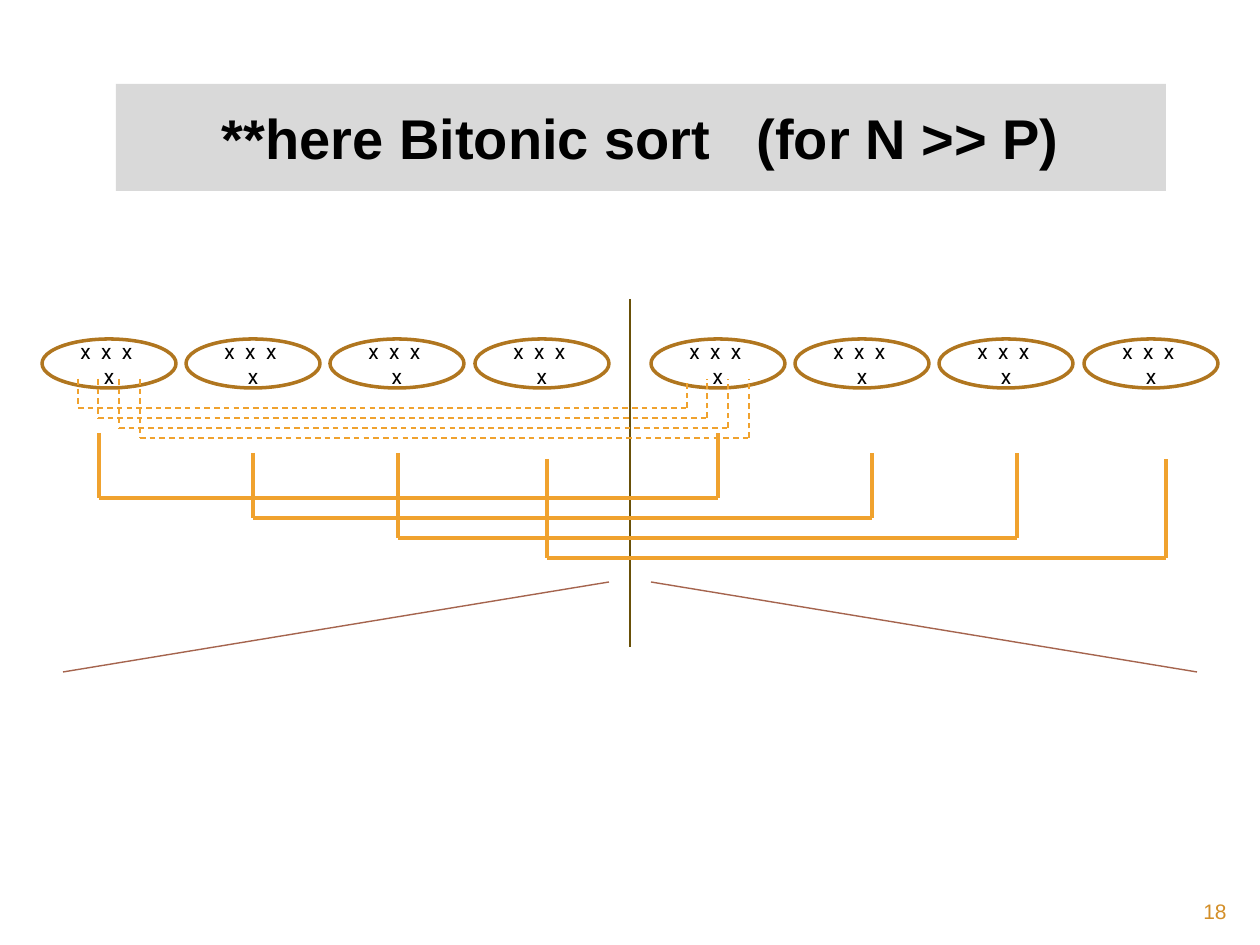
from dataclasses import dataclass
from lxml.etree import SubElement
from pptx import Presentation
from pptx.dml.color import RGBColor
from pptx.enum.dml import MSO_LINE
from pptx.enum.shapes import MSO_CONNECTOR, MSO_SHAPE
from pptx.enum.text import MSO_ANCHOR, PP_ALIGN
from pptx.oxml.ns import qn
from pptx.util import Pt


@dataclass
class Theme:
    black: str = "000000"
    white: str = "FFFFFF"
    panel: str = "D9D9D9"
    ring: str = "B0761F"
    wire: str = "F0A22E"
    axis: str = "695008"
    slope: str = "A5644E"
    page: str = "D38E27"
    head: int = 32
    small: int = 12
    thin: float = 0.79
    mid: float = 2
    thick: float = 2.25


theme = Theme()
SCALE = 914400 / 126


def px(*nums):
    return [round(num * SCALE) for num in nums]


def draw(ends, color, width, dash=None):
    line = slide.shapes.add_connector(MSO_CONNECTOR.STRAIGHT, *px(*ends))
    line.line.color.rgb = RGBColor.from_string(color)
    line.line.width = Pt(width)
    if dash:
        line.line.dash_style = dash
    SubElement(line._element.spPr, qn("a:effectLst"))


deck = Presentation()
deck.slide_width, deck.slide_height = px(1260, 945)
slide = deck.slides.add_slide(deck.slide_layouts[5])

title = slide.shapes.title
title.left, title.top, title.width, title.height = px(116, 84, 1050, 107)
geom = SubElement(title._element.spPr, qn("a:prstGeom"), prst="bevel")
SubElement(geom, qn("a:avLst"))
title.fill.solid()
title.fill.fore_color.rgb = RGBColor.from_string(theme.panel)
title.text_frame.vertical_anchor = MSO_ANCHOR.MIDDLE
para = title.text_frame.paragraphs[0]
para.alignment = PP_ALIGN.CENTER
run = para.add_run()
run.text = "**here Bitonic sort   (for N >> P)"
run.font.name = "Arial"
run.font.size = Pt(theme.head)
run.font.bold = True
run.font.color.rgb = RGBColor.from_string(theme.black)

draw((630, 299, 630, 647), theme.axis, theme.thin)

for side in (42, 651):
    for i in range(4):
        node = slide.shapes.add_shape(
            MSO_SHAPE.OVAL, *px(side + i * 433 // 3, 339, 134, 49))
        node.shadow.inherit = False
        node.fill.solid()
        node.fill.fore_color.rgb = RGBColor.from_string(theme.white)
        node.line.color.rgb = RGBColor.from_string(theme.ring)
        node.line.width = Pt(theme.mid)
        node.text_frame.word_wrap = True
        node.text_frame.vertical_anchor = MSO_ANCHOR.MIDDLE
        para = node.text_frame.paragraphs[0]
        para.alignment = PP_ALIGN.CENTER
        run = para.add_run()
        run.text = "x  x  x  x"
        run.font.name = "Roboto"
        run.font.size = Pt(theme.small)
        run.font.color.rgb = RGBColor.from_string(theme.black)

links = [(78 + i * 62 // 3, 379, 609, 408 + 10 * i, theme.thin, MSO_LINE.DASH)
         for i in range(4)]
starts = [(99, 433), (253, 453), (398, 453), (547, 459)]
links += [(x, top, 619, 498 + 20 * i, theme.thick, None)
          for i, (x, top) in enumerate(starts)]
for x, top, span, low, width, dash in links:
    end = x + span
    for ends in ((x, top, x, low), (x, low, end, low), (end, low, end, top)):
        draw(ends, theme.wire, width, dash)

for far, near in ((63, 609), (1197, 651)):
    draw((far, 672, near, 582), theme.slope, theme.thin)

page = slide.shapes.add_textbox(*px(1134, 892, 105, 34))
page.text_frame.word_wrap = True
para = page.text_frame.paragraphs[0]
para.alignment = PP_ALIGN.RIGHT
run = para.add_run()
run.text = "18"
run.font.name = "Arial"
run.font.size = Pt(theme.small)
run.font.color.rgb = RGBColor.from_string(theme.page)

deck.save("out.pptx")
